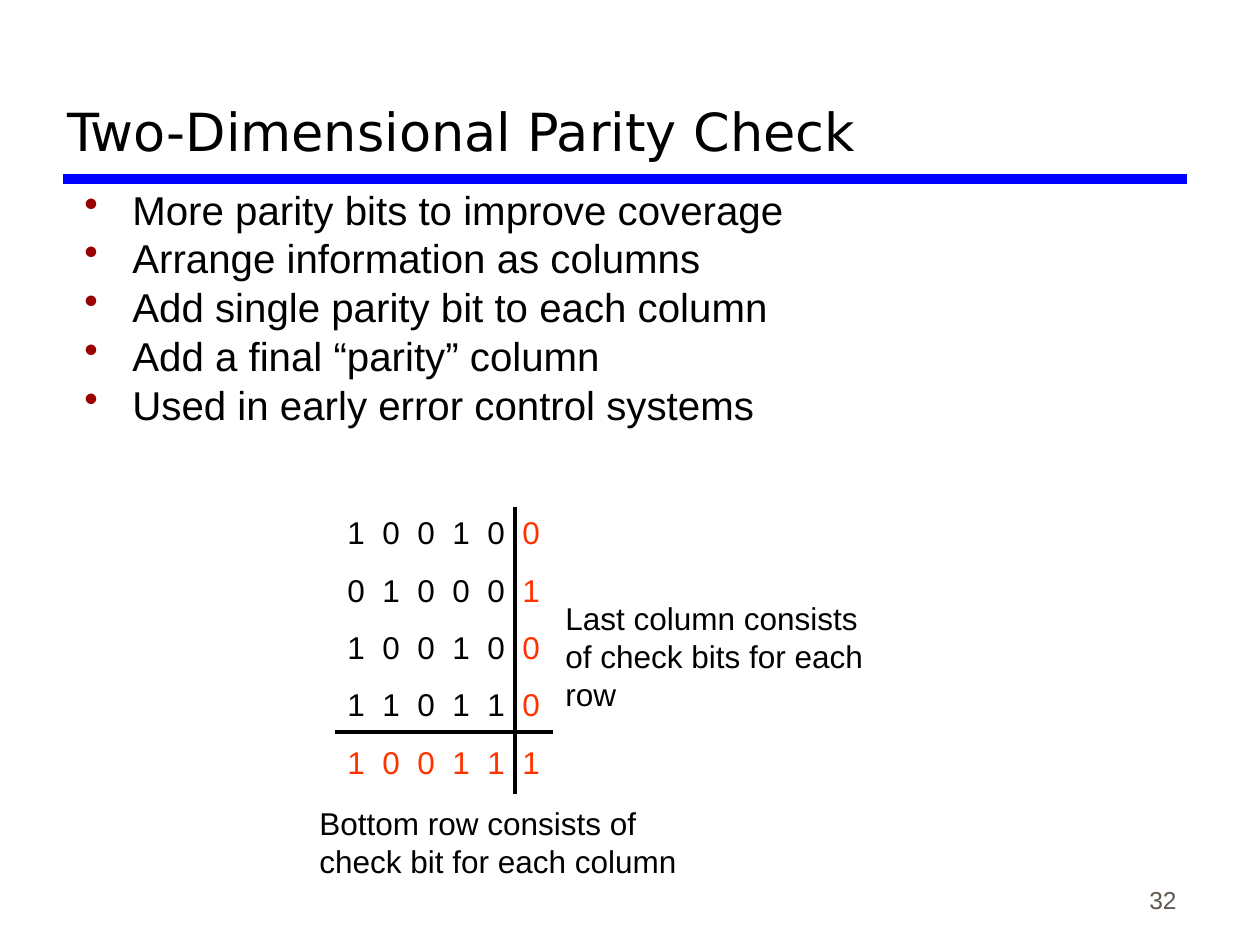
from lxml import etree
from pptx import Presentation
from pptx import util as u
from pptx.dml.color import RGBColor
from pptx.enum import shapes, text
from pptx.oxml.ns import qn

PX = u.Inches(1) // 126
BLACK = RGBColor(0x00, 0x00, 0x00)
BLUE = RGBColor(0x00, 0x00, 0xFF)
RED = RGBColor(0xFF, 0x33, 0x00)
GREY = RGBColor(0x5E, 0x57, 0x4E)
BULLET_COLOUR = "990000"

BULLETS = [
    "More parity bits to improve coverage",
    "Arrange information as columns",
    "Add single parity bit to each column",
    "Add a final “parity” column",
    "Used in early error control systems",
]
PARITY_ROWS = ["100100", "010001", "100100", "110110", "100111"]
BIT_PITCH = 35


def add_text_frame(slide, left, top, width, height, anchor=text.MSO_ANCHOR.TOP):
    box = slide.shapes.add_textbox(left * PX, top * PX, width * PX, height * PX)
    frame = box.text_frame
    frame.word_wrap = True
    frame.vertical_anchor = anchor
    return frame


def next_paragraph(frame, index, space_before):
    """Return the paragraph at index; only later ones get space before."""
    if index == 0:
        return frame.paragraphs[0]
    paragraph = frame.add_paragraph()
    paragraph.space_before = u.Pt(space_before)
    return paragraph


def set_font(font, size, colour=BLACK, name="Arial"):
    font.size = u.Pt(size)
    font.name = name
    font.color.rgb = colour


def add_label(slide, place, words, size, colour=BLACK, name="Arial",
              anchor=text.MSO_ANCHOR.TOP, align=text.PP_ALIGN.LEFT):
    paragraph = add_text_frame(slide, *place, anchor).paragraphs[0]
    paragraph.text = words
    paragraph.alignment = align
    set_font(paragraph.font, size, colour, name)


def add_line(slide, start, end, colour, width):
    line = slide.shapes.add_connector(
        shapes.MSO_CONNECTOR.STRAIGHT, *(value * PX for value in start + end))
    line.line.color.rgb = colour
    line.line.width = u.Pt(width)
    etree.SubElement(line._element.spPr, qn("a:effectLst"))


def add_bullet(paragraph, indent):
    properties = paragraph._p.get_or_add_pPr()
    properties.set("marL", str(indent * PX))
    properties.set("indent", str(-indent * PX))
    colour = etree.SubElement(properties, qn("a:buClr"))
    etree.SubElement(colour, qn("a:srgbClr"), val=BULLET_COLOUR)
    etree.SubElement(properties, qn("a:buChar"), char="•")


def add_tab_stops(paragraph, pitch, count):
    stops = etree.SubElement(paragraph._p.get_or_add_pPr(), qn("a:tabLst"))
    for number in range(1, count + 1):
        etree.SubElement(stops, qn("a:tab"), pos=str(number * pitch * PX), algn="l")


def add_bullet_list(slide, place, items):
    frame = add_text_frame(slide, *place)
    for index, item in enumerate(items):
        paragraph = next_paragraph(frame, index, 5.8)
        paragraph.text = item
        paragraph.line_spacing = 0.8
        add_bullet(paragraph, 48)
        set_font(paragraph.font, 23)


def add_parity_grid(slide, place, rows):
    """Write tabbed bits, with the last column and last row in red."""
    frame = add_text_frame(slide, *place)
    for index, bits in enumerate(rows):
        paragraph = next_paragraph(frame, index, 11.2)
        add_tab_stops(paragraph, BIT_PITCH, len(bits) - 1)
        is_check_row = index == len(rows) - 1
        data, check = "\t".join(bits[:-1]) + "\t", bits[-1]
        for words, colour in ((data, RED if is_check_row else BLACK), (check, RED)):
            run = paragraph.add_run()
            run.text = words
            set_font(run.font, 18, colour)


def main():
    presentation = Presentation()
    presentation.slide_width = 1260 * PX
    presentation.slide_height = 945 * PX
    slide = presentation.slides.add_slide(presentation.slide_layouts[6])

    add_line(slide, (63, 179), (1187, 179), BLUE, 6)
    add_label(slide, (927, 858, 262, 63), "32", 14, GREY,
              anchor=text.MSO_ANCHOR.BOTTOM, align=text.PP_ALIGN.RIGHT)
    add_label(slide, (55, 21, 1130, 147), "Two-Dimensional Parity Check", 30,
              name="DejaVu Sans", anchor=text.MSO_ANCHOR.BOTTOM)
    add_parity_grid(slide, (335, 507, 262, 281), PARITY_ROWS)
    add_line(slide, (515, 507), (515, 794), BLACK, 2.25)
    add_line(slide, (335, 732), (553, 732), BLACK, 2.25)
    add_label(slide, (307, 798, 399, 88),
              "Bottom row consists of check bit for each column", 18)
    add_label(slide, (553, 593, 333, 126),
              "Last column consists of check bits for each row", 18)
    add_bullet_list(slide, (72, 188, 1134, 257), BULLETS)
    presentation.save("out.pptx")


if __name__ == "__main__":
    main()
